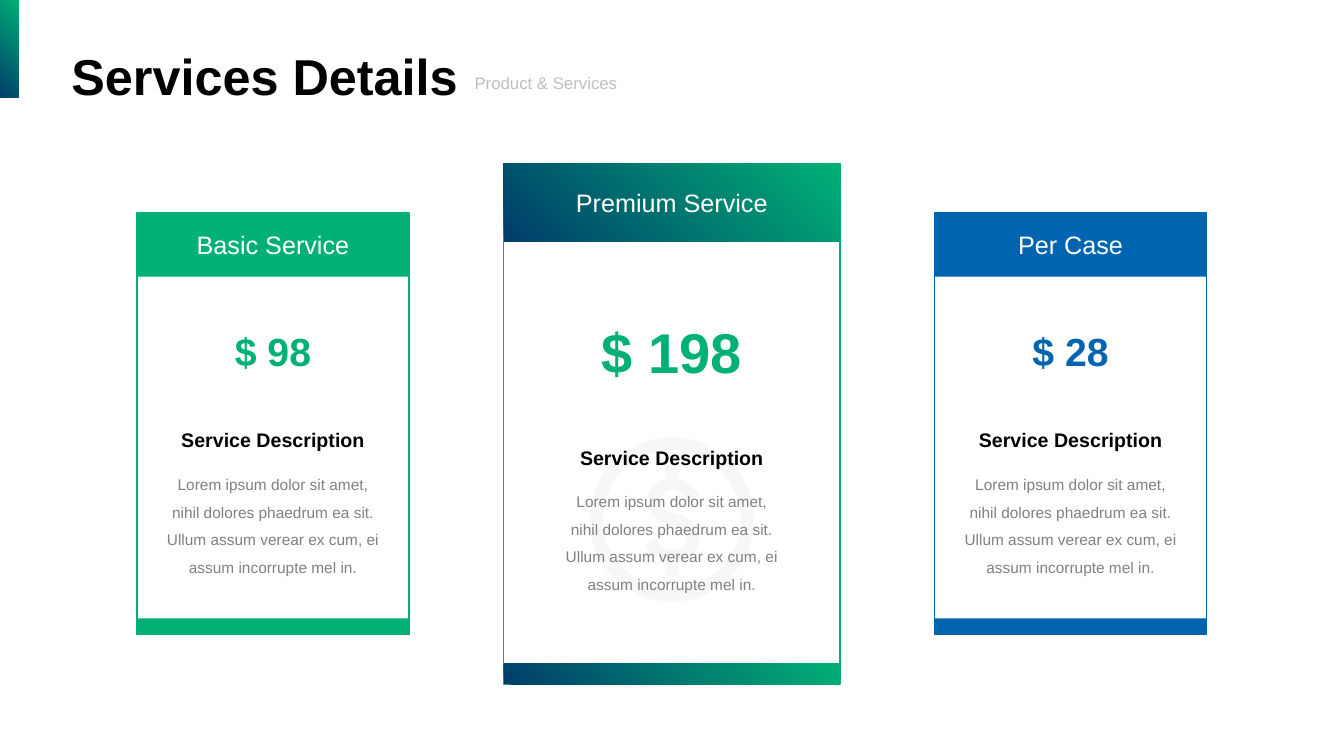
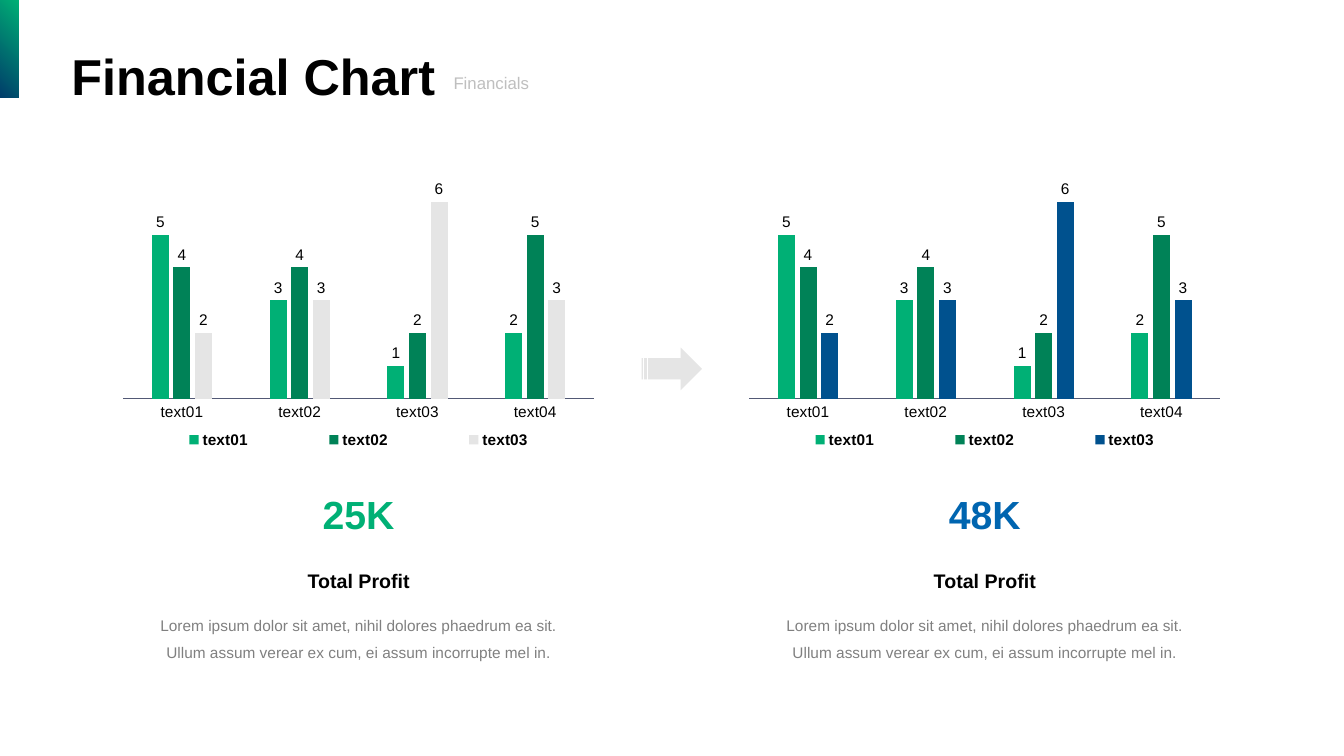
from pptx import Presentation
from pptx.chart.data import CategoryChartData
from pptx.dml.color import RGBColor
from pptx.enum.chart import (XL_CHART_TYPE, XL_LABEL_POSITION,
                             XL_LEGEND_POSITION, XL_TICK_MARK)
from pptx.enum.shapes import MSO_SHAPE
from pptx.enum.text import MSO_ANCHOR, MSO_AUTO_SIZE, PP_ALIGN
from pptx.oxml import parse_xml
from pptx.oxml.ns import nsdecls, qn
from pptx.util import Cm, Pt

RECT = MSO_SHAPE.RECTANGLE
DONUT = MSO_SHAPE.DONUT
ARROW = MSO_SHAPE.STRIPED_RIGHT_ARROW
LEFT, CENTER = PP_ALIGN.LEFT, PP_ALIGN.CENTER
MIDDLE = MSO_ANCHOR.MIDDLE
GROW = MSO_AUTO_SIZE.SHAPE_TO_FIT_TEXT
COLUMN = XL_CHART_TYPE.COLUMN_CLUSTERED
OUTSIDE = XL_LABEL_POSITION.OUTSIDE_END
BOTTOM = XL_LEGEND_POSITION.BOTTOM
NO_TICK = XL_TICK_MARK.NONE

FONT = "Arial"
GREEN = RGBColor(0x00, 0xB0, 0x75)
DEEP = RGBColor(0x00, 0x82, 0x57)
BLUE = RGBColor(0x00, 0x65, 0xB0)
OCEAN = RGBColor(0x00, 0x51, 0x8E)
NAVY = RGBColor(0x00, 0x3D, 0x6A)
BLACK = RGBColor(0x00, 0x00, 0x00)
WHITE = RGBColor(0xFF, 0xFF, 0xFF)
GRAY = RGBColor(0x80, 0x80, 0x80)
SILVER = RGBColor(0xBF, 0xBF, 0xBF)
PALE = RGBColor(0xE5, 0xE5, 0xE5)
MIST = RGBColor(0xF2, 0xF2, 0xF2)
SLATE = RGBColor(0x52, 0x59, 0x75)
FADE = (GREEN, NAVY)

WIDTH, HEIGHT = 33.87, 19.05
AXIS = 16.93  # horizontal centre of the slide
LOREM = ("Lorem ipsum dolor sit amet, nihil dolores phaedrum ea sit. "
         "Ullum assum verear ex cum, ei assum incorrupte mel in.")

# Dollar sign in hundredths of an inch: a start, then Bezier curves
# (two handles and an end) or plain corners.
DOLLAR_START = (30, 84)
DOLLAR = [
    [(23, 86), (14, 83), (11, 74)], [(0, 79)],
    [(3, 89), (11, 95), (20, 97)], [(20, 110)], [(32, 110)], [(32, 97)],
    [(45, 94), (52, 86), (53, 74)], [(53, 56), (36, 50), (25, 47)],
    [(23, 46), (21, 45), (19, 44)], [(13, 42), (14, 36), (14, 34)],
    [(15, 30), (19, 25), (25, 25)], [(36, 25), (41, 35), (41, 36)],
    [(53, 30)], [(52, 29), (46, 17), (32, 14)], [(32, 0)], [(20, 0)],
    [(20, 14)], [(11, 15), (4, 22), (2, 31)], [(0, 42), (4, 51), (14, 56)],
    [(16, 57), (19, 58), (22, 59)], [(32, 62), (40, 65), (40, 74)],
    [(40, 82), (32, 84), (30, 84)],
]


def flatten(start, parts, steps=8):
    """Turn curves and corners into points in thousandths of an inch."""
    points, here = [], start
    for part in parts:
        if len(part) == 1:
            points.append(part[0])
        else:
            one, two, end = part
            for step in range(1, steps + 1):
                t = step / steps
                u = 1 - t
                points.append(tuple(
                    u**3 * a + 3 * u * u * t * b + 3 * u * t * t * c + t**3 * d
                    for a, b, c, d in zip(here, one, two, end)))
        here = part[-1]
    return [(10 * x, 10 * y) for x, y in points]


def place(box, index, x, y, w, h, inner=False):
    """Give a chart part a fixed place, as fractions of the chart."""
    for old in box.findall(qn("c:layout")):
        box.remove(old)
    target = '<c:layoutTarget val="inner"/>' if inner else ""
    box.insert(index, parse_xml(
        f'<c:layout {nsdecls("c")}><c:manualLayout>{target}'
        '<c:xMode val="edge"/><c:yMode val="edge"/>'
        f'<c:x val="{x}"/><c:y val="{y}"/><c:w val="{w}"/><c:h val="{h}"/>'
        '</c:manualLayout></c:layout>'))


class Deck:
    def __init__(self):
        self.show = Presentation()
        self.show.slide_width = Cm(WIDTH)
        self.show.slide_height = Cm(HEIGHT)
        self.slide = None

    def page(self, title, topic, left):
        """Start a slide with its corner band, title and topic."""
        self.slide = self.show.slides.add_slide(self.show.slide_layouts[6])
        self.shape(RECT, 0, 0, 0.48, 2.46, FADE)
        self.text(title, 1.55, 1.02, 16.23, 1.8, 36, BLACK, True, LEFT)
        self.text(topic, left, 1.7, 5.74, 0.76, 12, SILVER, False, LEFT)

    def paint(self, shape, fill, alpha=None):
        """Fill with one colour, a corner gradient (pair) or nothing."""
        shape.shadow.inherit = False
        shape.line.fill.background()
        if fill is None:
            shape.fill.background()
        elif isinstance(fill, RGBColor):
            shape.fill.solid()
            shape.fill.fore_color.rgb = fill
            if alpha:
                color = shape.element.spPr.find(".//" + qn("a:srgbClr"))
                color.append(parse_xml(
                    f'<a:alpha {nsdecls("a")} val="{alpha * 1000}"/>'))
        else:
            shape.fill.gradient()
            for stop, color, spot in zip(shape.fill.gradient_stops, fill, (0, 1)):
                stop.color.rgb = color
                stop.position = spot
            grad = shape.element.spPr.find(qn("a:gradFill"))
            grad.replace(grad.find(qn("a:lin")), parse_xml(
                f'<a:path {nsdecls("a")} path="circle">'
                '<a:fillToRect l="100000" b="100000"/></a:path>'))

    def shape(self, kind, x, y, w, h, fill, alpha=None):
        shape = self.slide.shapes.add_shape(kind, Cm(x), Cm(y), Cm(w), Cm(h))
        self.paint(shape, fill, alpha)
        return shape

    def label(self, frame, text, size, color, bold=False, align=CENTER, space=1.0):
        para = frame.paragraphs[0]
        para.alignment = align
        para.line_spacing = space
        run = para.add_run()
        run.text = text
        self.style(run.font, size, color, bold)

    def style(self, font, size, color, bold=False):
        font.name, font.size, font.bold = FONT, Pt(size), bold
        font.color.rgb = color

    def text(self, text, x, y, w, h, size, color, bold=False, align=CENTER, space=1.0):
        box = self.slide.shapes.add_textbox(Cm(x), Cm(y), Cm(w), Cm(h))
        frame = box.text_frame
        frame.word_wrap = True
        frame.auto_size = GROW
        self.label(frame, text, size, color, bold, align, space)

    def note(self, mid, top, width, height, head):
        """Bold heading with a gray paragraph below it."""
        left = mid - width / 2
        self.text(head, left, top, width, 0.86, 14, BLACK, True)
        self.text(LOREM, left, top + 0.94, width, height, 11, GRAY, space=1.5)

    def coin(self, x, y, size):
        ring = self.shape(DONUT, x, y, size, size, MIST, 58)
        ring.adjustments[0] = 0.08
        first = [10 * value for value in DOLLAR_START]
        pen = self.slide.shapes.build_freeform(*first, scale=Cm(0.00254))
        pen.add_line_segments(flatten(DOLLAR_START, DOLLAR))
        self.paint(pen.convert_to_shape(Cm(x + 1.42), Cm(y + 0.69)), MIST, 58)

    def card(self, mid, scale, name, fill, edge):
        """Framed price card, scaled about its centre."""
        w, h, head, foot = (scale * side for side in (6.86, 10.62, 1.6, 0.41))
        x, y = mid - w / 2, 10.68 - h / 2
        frame = self.shape(RECT, x, y, w, h, None)
        frame.line.color.rgb = edge
        frame.line.width = Pt(1)
        top = self.shape(RECT, x, y, w, head, fill).text_frame
        top.vertical_anchor = MIDDLE
        self.label(top, name, 18, WHITE)
        self.shape(RECT, x, y + h - foot, w, foot, fill)

    def chart(self, mid, top, w, h, cats, rows, colors):
        data = CategoryChartData()
        data.categories = cats
        for name, values in rows:
            data.add_series(name, values)
        chart = self.slide.shapes.add_chart(
            COLUMN, Cm(mid - w / 2), Cm(top), Cm(w), Cm(h), data).chart
        self.style(chart.font, 11, BLACK)
        chart.has_title = False
        chart.has_legend = True
        chart.legend.position = BOTTOM
        chart.legend.include_in_layout = False
        self.style(chart.legend.font, 11, BLACK, True)

        scale = chart.value_axis
        scale.visible = False
        scale.has_major_gridlines = False
        scale.minimum_scale, scale.maximum_scale = 0, 7
        base = chart.category_axis
        base.major_tick_mark = base.minor_tick_mark = NO_TICK
        base.format.line.color.rgb = SLATE
        base.format.line.width = Pt(0.25)
        self.style(base.tick_labels.font, 11, BLACK)

        plot = chart.plots[0]
        plot.vary_by_categories = False
        plot.gap_width, plot.overlap = 340, -27
        for series, color in zip(plot.series, colors):
            series.format.fill.solid()
            series.format.fill.fore_color.rgb = color
            labels = series.data_labels
            labels.show_value = True
            labels.position = OUTSIDE
            self.style(labels.font, 11, BLACK)
        place(chart.element.find(".//" + qn("c:plotArea")), 0,
              0.02, 0.02, 0.96, 0.78, inner=True)
        place(chart.element.find(".//" + qn("c:legend")), 1, 0, 0.88, 1, 0.12)


def services(deck):
    deck.page("Services Details", "Product & Services", 11.71)
    deck.coin(14.86, 11.02, 4.14)
    step = 10.05
    cards = [
        (-1, 1, "Basic Service", "$ 98", 28, 1.45, GREEN, GREEN, 0),
        (0, 1.235, "Premium Service", "$ 198", 40, 1.96, FADE, GREEN, 0.43),
        (1, 1, "Per Case", "$ 28", 28, 1.45, BLUE, BLUE, 0),
    ]
    for slot, scale, name, price, size, tall, fill, edge, drop in cards:
        mid = AXIS + slot * step
        deck.card(mid, scale, name, fill, edge)
        deck.text(price, mid - 3.73, 8.85 - tall / 2, 7.46, tall, size, edge, True)
        deck.note(mid, 10.67 + drop, 5.87, 3, "Service Description")


def finance(deck):
    deck.page("Financial Chart", "Financials", 11.18)
    cats = ["text01", "text02", "text03", "text04"]
    rows = [("text01", (5, 3, 1, 2)), ("text02", (4, 4, 2, 5)),
            ("text03", (2, 3, 6, 3))]
    for side, last, total, color in ((-1, PALE, "25K", GREEN),
                                     (1, OCEAN, "48K", BLUE)):
        mid = AXIS + side * 7.89
        deck.chart(mid, 4.11, 12.37, 7.42, cats, rows, (GREEN, DEEP, last))
        deck.text(total, mid - 3.37, 12.22, 6.73, 1.45, 28, color, True)
        deck.note(mid, 14.22, 11.1, 1.57, "Total Profit")
    deck.shape(ARROW, AXIS - 0.76, 8.76, 1.52, 1.07, PALE)


def main():
    deck = Deck()
    services(deck)
    finance(deck)
    deck.show.save("out.pptx")


if __name__ == "__main__":
    main()
